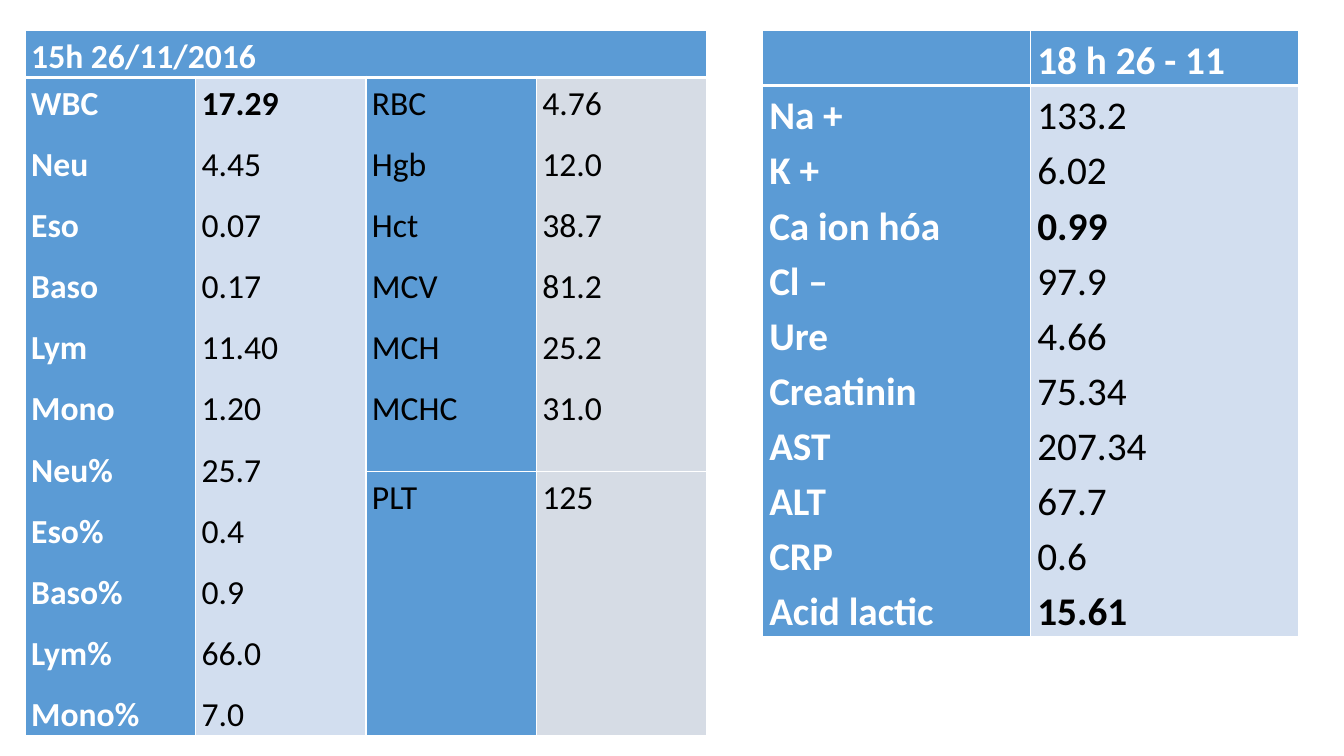
from lxml import etree
from pptx import Presentation
from pptx import util as u
from pptx.dml.color import RGBColor
from pptx.oxml.ns import qn

THEME = {
    "font": "Calibri",
    "blue": "5B9BD5", "pale": "D2DEEF", "grey": "D6DCE5",
    "white": "FFFFFF", "black": "000000",
    "line": 1, "header_line": 3, "line_spacing": 1.15,
}

# A cell is (row, column, lines, text colour, bold lines); "all" makes every line bold.
BLOOD_COUNT = {
    "at": (0.25, 0.3), "columns": [1.69] * 4, "rows": [0.46, 3.91, 2.56],
    "fills": ["blue", "pale", "blue", "grey"],
    "size": 24, "margin": 0.06, "space_after": 10,
    "merges": [(0, 0, 0, 3), (1, 0, 2, 0), (1, 1, 2, 1)],
    "cells": [
        (0, 0, ["15h 26/11/2016"], "white", "all"),
        (1, 0, ["WBC", "Neu", "Eso", "Baso", "Lym", "Mono", "Neu%", "Eso%",
                "Baso%", "Lym%", "Mono%"], "white", "all"),
        (1, 1, ["17.29", "4.45", "0.07", "0.17", "11.40", "1.20", "25.7", "0.4",
                "0.9", "66.0", "7.0"], "black", ["17.29"]),
        (1, 2, ["RBC", "Hgb", "Hct", "MCV", "MCH", "MCHC"], "black", []),
        (1, 3, ["4.76", "12.0", "38.7", "81.2", "25.2", "31.0"], "black", []),
        (2, 2, ["PLT"], "black", []),
        (2, 3, ["125"], "black", []),
    ],
}
CHEMISTRY = {
    "at": (7.56, 0.3), "columns": [2.66] * 2, "rows": [0.54, 5.46],
    "fills": ["blue", "pale"],
    "size": 28, "margin": 0.07, "space_after": 0,
    "merges": [],
    "cells": [
        (0, 1, ["18 h 26 - 11"], "white", "all"),
        (1, 0, ["Na +", "K +", "Ca ion hóa", "Cl –", "Ure", "Creatinin", "AST",
                "ALT", "CRP", "Acid lactic"], "white", "all"),
        (1, 1, ["133.2", "6.02", "0.99", "97.9", "4.66", "75.34", "207.34",
                "67.7", "0.6", "15.61"], "black", ["0.99", "15.61"]),
    ],
}


def colour(name):
    return RGBColor.from_string(THEME[name])


def add_borders(cell, widths):
    """Put white lines, in points, on the left, right, top and bottom sides."""
    properties = cell._tc.get_or_add_tcPr()
    for index, (side, width) in enumerate(zip("LRTB", widths)):
        line = etree.Element(qn(f"a:ln{side}"), w=str(u.Pt(width)))
        fill = etree.SubElement(line, qn("a:solidFill"))
        etree.SubElement(fill, qn("a:srgbClr"), val=THEME["white"])
        properties.insert(index, line)


def write_lines(cell, lines, text_colour, bold_lines, data):
    cell.margin_left = cell.margin_right = u.Inches(data["margin"])
    cell.margin_top = cell.margin_bottom = 0
    frame = cell.text_frame
    for index, line in enumerate(lines):
        para = frame.add_paragraph() if index else frame.paragraphs[0]
        para.line_spacing = THEME["line_spacing"]
        para.space_after = u.Pt(data["space_after"])
        span = para.add_run()
        span.text = line
        span.font.name = THEME["font"]
        span.font.size = u.Pt(data["size"])
        span.font.bold = bold_lines == "all" or line in bold_lines
        span.font.color.rgb = colour(text_colour)


def add_results(page, data):
    left, top = data["at"]
    columns, rows = data["columns"], data["rows"]
    table = page.shapes.add_table(
        len(rows), len(columns), u.Inches(left), u.Inches(top),
        u.Inches(sum(columns)), u.Inches(sum(rows))).table
    table.first_row = table.horz_banding = False
    for column, width in zip(table.columns, columns):
        column.width = u.Inches(width)
    thin, thick = THEME["line"], THEME["header_line"]
    for r, height in enumerate(rows):
        table.rows[r].height = u.Inches(height)
        for c, fill in enumerate(data["fills"]):
            cell = table.cell(r, c)
            cell.fill.solid()
            cell.fill.fore_color.rgb = colour(fill if r else "blue")
            add_borders(cell, (thin, thin, thick if r == 1 else thin,
                               thick if r == 0 else thin))
    for r1, c1, r2, c2 in data["merges"]:
        table.cell(r1, c1).merge(table.cell(r2, c2))
    for r, c, lines, text_colour, bold_lines in data["cells"]:
        write_lines(table.cell(r, c), lines, text_colour, bold_lines, data)


def main():
    deck = Presentation()
    deck.slide_width, deck.slide_height = u.Inches(13.33), u.Inches(7.5)
    page = deck.slides.add_slide(deck.slide_layouts[6])
    for data in (BLOOD_COUNT, CHEMISTRY):
        add_results(page, data)
    deck.save("out.pptx")


if __name__ == "__main__":
    main()
